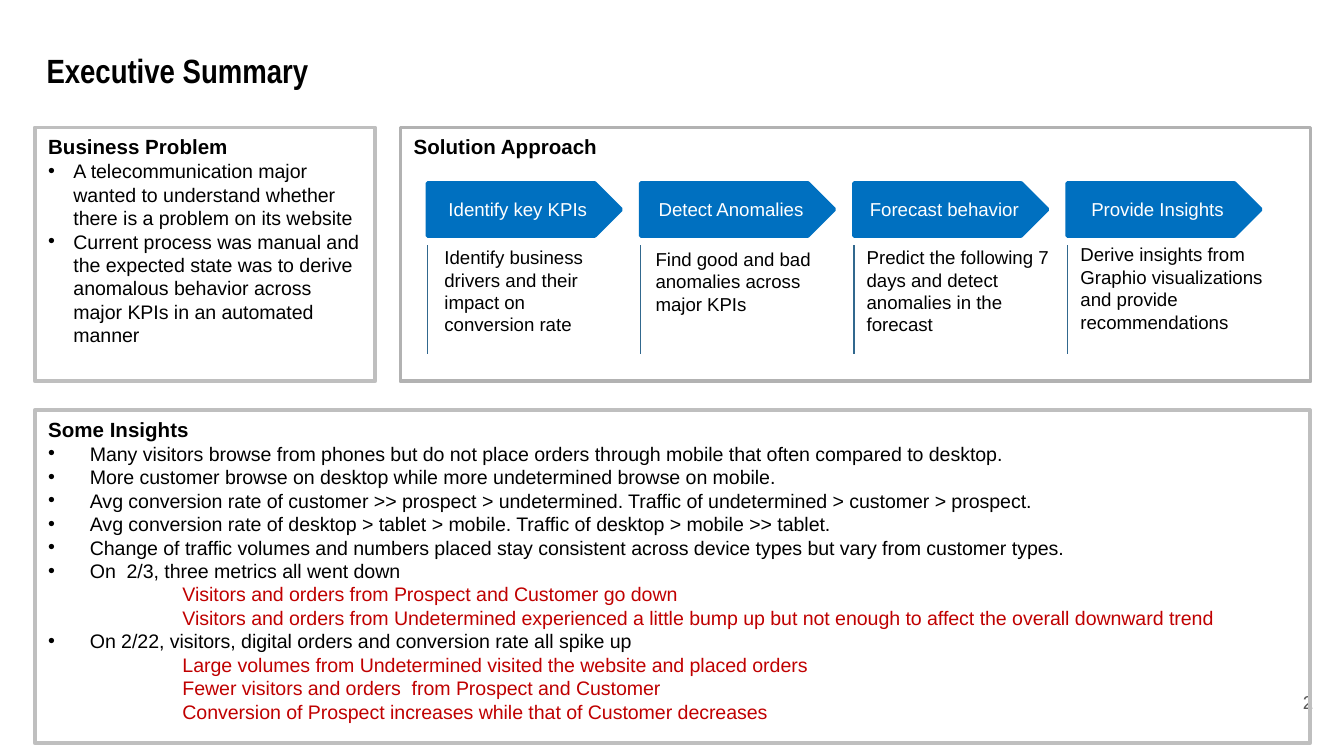
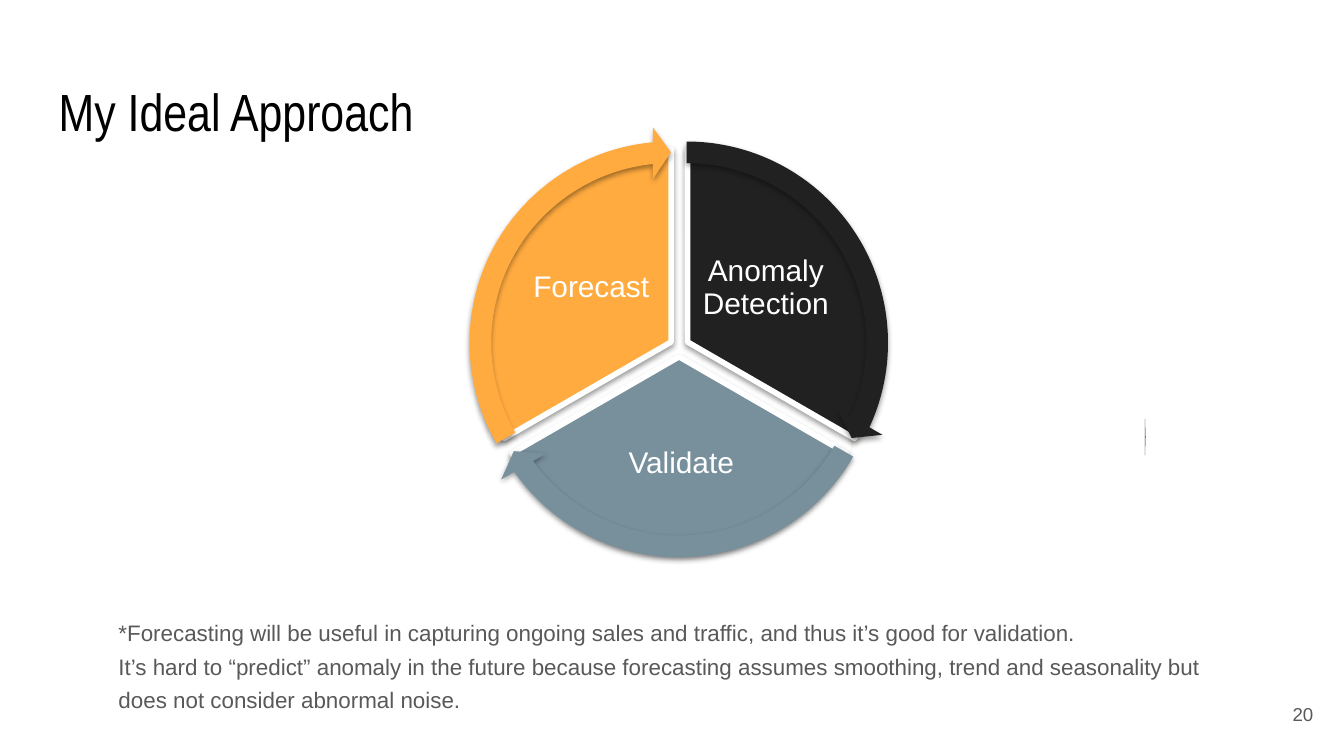
from lxml import etree
from pptx import Presentation
from pptx.dml.color import RGBColor
from pptx.enum import shapes, text
from pptx.oxml import ns
from pptx.util import Cm, Pt

BLACK, WHITE, GREY, RED = "000000", "FFFFFF", "595959", "C00000"
BLUE, RULE, FRAME, DARK_FRAME = "0070C0", "31688E", "BFBFBF", "B2B2B2"
CHARCOAL, SLATE, AMBER, GREEN = "212121", "78909C", "FFAB40", "92D050"
BODY_FONT, TITLE_FONT = "Arial", "Arial Narrow"
LEFT, CENTER, RIGHT = text.PP_ALIGN.LEFT, text.PP_ALIGN.CENTER, text.PP_ALIGN.RIGHT
TOP, MIDDLE = text.MSO_ANCHOR.TOP, text.MSO_ANCHOR.MIDDLE

PROBLEM = [
    "A telecommunication major wanted to understand whether there is a problem on its website",
    "Current process was manual and the expected state was to derive anomalous behavior "
    "across major KPIs in an automated manner",
]

# label, detail paragraphs, detail box (left, top, width)
STEPS = [
    ("Identify key KPIs", ["Identify business drivers and their impact on conversion rate"],
     (8.15, 4.52, 3.81)),
    ("Detect Anomalies", ["Find good and bad", "anomalies across major KPIs"],
     (12.14, 4.55, 3.81)),
    ("Forecast behavior", ["Predict the following 7 days and detect anomalies in the forecast"],
     (16.13, 4.52, 4.19)),
    ("Provide Insights",
     ["Derive insights from Graphio visualizations and provide recommendations"],
     (20.17, 4.47, 4.29)),
]

# insight, consequences
INSIGHTS = [
    ("Many visitors browse from phones but do not place orders through mobile that often "
     "compared to desktop.", []),
    ("More customer browse on desktop while more undetermined browse on mobile.", []),
    ("Avg conversion rate of customer >> prospect > undetermined. "
     "Traffic of undetermined > customer > prospect.", []),
    ("Avg conversion rate of desktop > tablet > mobile. "
     "Traffic of desktop > mobile >> tablet.", []),
    ("Change of traffic volumes and numbers placed stay consistent across device types "
     "but vary from customer types.", []),
    ("On  2/3, three metrics all went down", [
        "Visitors and orders from Prospect and Customer go down",
        "Visitors and orders from Undetermined experienced a little bump up but not enough "
        "to affect the overall downward trend"]),
    ("On 2/22, visitors, digital orders and conversion rate all spike up", [
        "Large volumes from Undetermined visited the website and placed orders",
        "Fewer visitors and orders  from Prospect and Customer",
        "Conversion of Prospect increases while that of Customer decreases"]),
]

# label, colour, wedge corner, wedge angles, label box, arrow corner, arrow angles
CYCLE = [
    ("Anomaly Detection", CHARCOAL, (9.35, 2.82), (162, 18),
     (13.18, 4.37, 2.59, 2.16), (8.89, 2.39), (14.73, 161.99)),
    ("Validate", SLATE, (9.19, 3.1), (18, 90),
     (10.92, 7.82, 3.91, 1.9), (8.74, 2.64), (86.72, 18)),
    ("Forecast", AMBER, (9.04, 2.82), (90, 162),
     (9.88, 4.37, 2.59, 2.16), (8.59, 2.39), (158.73, 90)),
]
WEDGE_SIZE, ARROW_SIZE = 7.29, 8.18
SLIVERS = [(16.1, 7.87, GREEN), (21.64, 7.92, CHARCOAL)]

FOOTNOTE = [
    "*Forecasting will be useful in capturing ongoing sales and traffic, "
    "and thus it’s good for validation.",
    "It’s hard to “predict” anomaly in the future because forecasting assumes smoothing, "
    "trend and seasonality but",
    "does not consider abnormal noise.",
]


def rgb(color):
    return RGBColor.from_string(color)


def cms(*values):
    return [Cm(value) for value in values]


def child(parent, tag, **attributes):
    return etree.SubElement(parent, ns.qn(tag), attributes)


def write(frame, content, size=10, color=BLACK, bold=False, font=BODY_FONT, align=LEFT,
          indent=0, hang=0):
    """Append one paragraph; a hanging indent brings a bullet with it."""
    first = frame.paragraphs[0]
    paragraph = frame.add_paragraph() if first.runs else first
    paragraph.alignment = align
    run = paragraph.add_run()
    run.text = content
    run.font.size, run.font.bold, run.font.name = Pt(size), bold, font
    run.font.color.rgb = rgb(color)
    if indent:
        properties = paragraph._p.get_or_add_pPr()
        properties.set("marL", str(Cm(indent)))
        properties.set("indent", str(-Cm(hang)))
        if hang:
            child(child(properties, "a:buClr"), "a:srgbClr", val=color)
            child(properties, "a:buFont", typeface=BODY_FONT)
            child(properties, "a:buChar", char="•")
    return paragraph


def prepare(frame, anchor=TOP, insets=(0.25, 0.13)):
    frame.word_wrap = True
    frame.vertical_anchor = anchor
    frame.margin_left = frame.margin_right = Cm(insets[0])
    frame.margin_top = frame.margin_bottom = Cm(insets[1])
    return frame


def text_box(slide, box, **layout):
    return prepare(slide.shapes.add_textbox(*cms(*box)).text_frame, **layout)


def preset(slide, kind, box, fill=None, line=None, width=2):
    shape = slide.shapes.add_shape(kind, *cms(*box))
    shape.shadow.inherit = False
    if fill:
        shape.fill.solid()
        shape.fill.fore_color.rgb = rgb(fill)
    else:
        shape.fill.background()
    if line:
        shape.line.color.rgb = rgb(line)
        shape.line.width = Pt(width)
    else:
        shape.line.fill.background()
    return shape


def cast_shadow(shape):
    effects = shape._element.spPr.find(ns.qn("a:effectLst"))
    shadow = child(effects, "a:outerShdw", blurRad=str(Pt(3.1)), dist=str(Pt(1.6)),
                   dir="5400000", rotWithShape="0")
    child(child(shadow, "a:srgbClr", val=BLACK), "a:alpha", val="38000")


def panel(slide, heading, box, line=FRAME):
    frame = prepare(preset(slide, shapes.MSO_SHAPE.RECTANGLE, box, line=line).text_frame)
    write(frame, heading, 11, bold=True)
    return frame


def rule(slide, x, top, bottom):
    line = slide.shapes.add_connector(shapes.MSO_CONNECTOR.STRAIGHT, *cms(x, top, x, bottom))
    line.line.color.rgb = rgb(RULE)
    line.line.width = Pt(0.75)
    child(line._element.spPr, "a:effectLst")


def start_slide(deck, title, corner, size, bold, number, number_top):
    slide = deck.slides.add_slide(deck.slide_layouts[6])
    heading = text_box(slide, (*corner, 23.67, 1.6), insets=(0.25, 0.25))
    write(heading, title, size, bold=bold, font=TITLE_FONT)
    page = text_box(slide, (23.55, number_top, 1.52, 1.09), anchor=MIDDLE, insets=(0.25, 0.25))
    write(page, number, 10, GREY, align=RIGHT)
    return slide


def summary_slide(deck):
    slide = start_slide(deck, "Executive Summary", (0.63, 0.69), 18, True, "2", 12.73)
    problem = panel(slide, "Business Problem", (0.66, 2.41, 6.43, 4.8))
    for point in PROBLEM:
        write(problem, point, 10.5, indent=0.48, hang=0.48)

    panel(slide, "Solution Approach", (7.57, 2.41, 17.2, 4.8), DARK_FRAME)
    for index, (label, details, (left, top, width)) in enumerate(STEPS):
        x = 8.08 + 4.03 * index
        step = preset(slide, shapes.MSO_SHAPE.PENTAGON, (x, 3.46, 3.66, 1), BLUE, BLUE)
        write(prepare(step.text_frame, MIDDLE), label, color=WHITE, align=CENTER)
        rule(slide, x, 4.64, 6.7)
        detail = text_box(slide, (left, top, width, 1.96))
        for line in details:
            write(detail, line)

    insights = panel(slide, "Some Insights", (0.66, 7.75, 24.1, 6.3))
    for insight, consequences in INSIGHTS:
        write(insights, insight, 10.5, indent=0.79, hang=0.79)
        for consequence in consequences:
            write(insights, consequence, 10.5, RED, indent=2.54)


def approach_slide(deck):
    slide = start_slide(deck, "My Ideal Approach", (0.86, 1.24), 28, False, "20", 12.95)
    for x, top, color in SLIVERS:
        outline = slide.shapes.build_freeform(Cm(x), Cm(top))
        outline.add_line_segments([cms(x + 0.01, top + 0.34), cms(x, top + 0.69)])
        sliver = outline.convert_to_shape()
        sliver.shadow.inherit = False
        sliver.fill.solid()
        sliver.fill.fore_color.rgb = rgb(color)
        sliver.line.fill.background()

    for label, color, corner, angles, label_box, _, _ in CYCLE:
        wedge = preset(slide, shapes.MSO_SHAPE.PIE, (*corner, WEDGE_SIZE, WEDGE_SIZE),
                       color, WHITE, 3)
        wedge.adjustments[0], wedge.adjustments[1] = angles
        cast_shadow(wedge)
        caption = text_box(slide, label_box, anchor=MIDDLE, insets=(0.05, 0.05))
        write(caption, label, 16, WHITE, align=CENTER).line_spacing = 0.9

    for _, color, _, _, _, corner, (head, tail) in CYCLE:
        arrow = preset(slide, shapes.MSO_SHAPE.CIRCULAR_ARROW,
                       (*corner, ARROW_SIZE, ARROW_SIZE), color)
        for index, value in enumerate((0.05, 3.28, head, tail, 0.06)):
            arrow.adjustments[index] = value
        cast_shadow(arrow)

    footnote = text_box(slide, (1.02, 11.68, 22.53, 1.6), insets=(0.25, 0.25))
    for line in FOOTNOTE:
        paragraph = write(footnote, line, 12, GREY, indent=0.97)
        paragraph.line_spacing, paragraph.space_before = Pt(8), Pt(10)


def main():
    deck = Presentation()
    deck.slide_width, deck.slide_height = cms(25.4, 14.29)
    summary_slide(deck)
    approach_slide(deck)
    deck.save("out.pptx")


if __name__ == "__main__":
    main()
